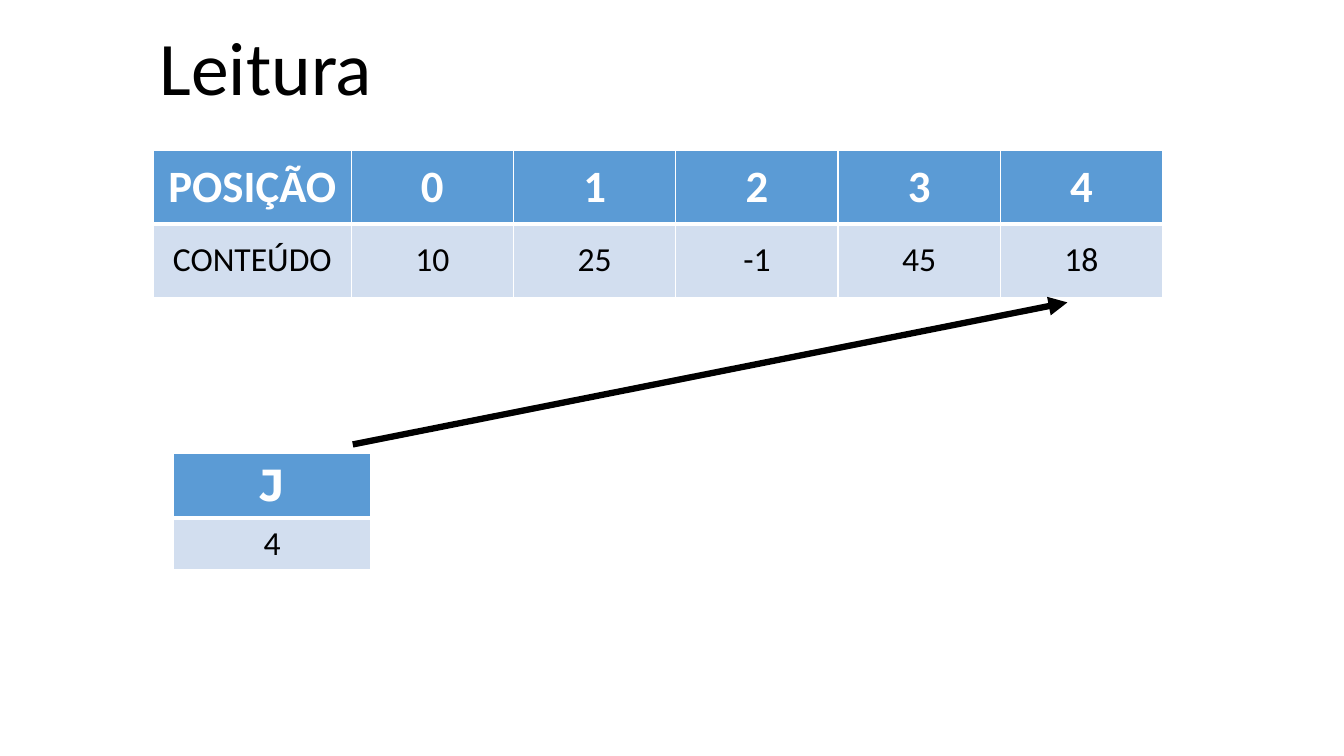
import pptx
import pptx.dml.color
import pptx.enum.shapes
import pptx.enum.text
import pptx.oxml
import pptx.oxml.ns
import pptx.util

Cm = pptx.util.Cm
Pt = pptx.util.Pt
ALIGN = pptx.enum.text.PP_ALIGN
ANCHOR = pptx.enum.text.MSO_ANCHOR
COLOURS = {"header": "5B9BD5", "body": "D2DEEF", "white": "FFFFFF", "black": "000000"}
NAMESPACE = pptx.oxml.ns.nsdecls("a")


def colour(name):
    return pptx.dml.color.RGBColor.from_string(COLOURS[name])


def write(frame, text, size, ink="black", font="Calibri", bold=False):
    para = frame.paragraphs[0]
    para.alignment = ALIGN.CENTER
    span = para.add_run()
    span.text = text
    span.font.name = font
    span.font.size = Pt(size)
    span.font.bold = bold
    span.font.color.rgb = colour(ink)


def add_borders(cell, top, bottom):
    properties = cell._tc.get_or_add_tcPr()
    for side, width in (("L", 1), ("R", 1), ("T", top), ("B", bottom)):
        properties.append(pptx.oxml.parse_xml(
            f'<a:ln{side} {NAMESPACE} w="{Pt(width)}"><a:solidFill>'
            f'<a:srgbClr val="{COLOURS["white"]}"/></a:solidFill></a:ln{side}>'))


def add_title(page, text, left, top, width, height):
    title = page.shapes.title
    title.left, title.top, title.width, title.height = left, top, width, height
    frame = title.text_frame
    frame.word_wrap = False
    frame.auto_size = pptx.enum.text.MSO_AUTO_SIZE.NONE
    frame.vertical_anchor = ANCHOR.TOP
    write(frame, text, 54)


def add_value_table(page, rows, left, top, widths, heights, anchor, header_font="Calibri"):
    """Place a table with one header row and one row of values."""
    table = page.shapes.add_table(
        len(rows), len(widths), left, top, sum(widths), sum(heights)).table
    for column, width in zip(table.columns, widths):
        column.width = width
    for index, (values, height) in enumerate(zip(rows, heights)):
        is_header = index == 0
        table.rows[index].height = height
        for cell, text in zip(table.rows[index].cells, values):
            add_borders(cell, top=1 if is_header else 3, bottom=3 if is_header else 1)
            cell.fill.solid()
            cell.fill.fore_color.rgb = colour("header" if is_header else "body")
            cell.vertical_anchor = anchor
            if is_header:
                write(cell.text_frame, text, 32, "white", header_font, bold=True)
            else:
                write(cell.text_frame, text, 24)


def add_arrow(page, start, end):
    arrow = page.shapes.add_connector(
        pptx.enum.shapes.MSO_CONNECTOR.STRAIGHT, *start, *end)
    arrow.line.color.rgb = colour("black")
    arrow.line.width = Pt(4.5)
    arrow.line._get_or_add_ln().append(
        pptx.oxml.parse_xml(f'<a:tailEnd {NAMESPACE} type="triangle"/>'))
    arrow._element.spPr.append(pptx.oxml.parse_xml(f"<a:effectLst {NAMESPACE}/>"))


def build_reading_page(deck):
    page = deck.slides.add_slide(deck.slide_layouts[5])
    label_width = Cm(4.98)
    add_value_table(
        page,
        [["POSIÇÃO", "0", "1", "2", "3", "4"], ["CONTEÚDO", "10", "25", "-1", "45", "18"]],
        Cm(3.87), Cm(3.79), [label_width] + [Cm(4.09)] * 5, [Cm(1.85)] * 2, ANCHOR.MIDDLE)
    add_title(page, "Leitura", Cm(3.73), Cm(0.38), Cm(5.94), Cm(2.57))
    add_value_table(
        page, [["J"], ["4"]], Cm(4.37), Cm(11.43), [label_width],
        [Cm(1.6), Cm(1.27)], ANCHOR.TOP, header_font="Montserrat")
    add_arrow(page, (Cm(8.89), Cm(11.2)), (Cm(26.9), Cm(7.62)))


def main():
    deck = pptx.Presentation()
    deck.slide_width, deck.slide_height = Cm(33.87), Cm(19.05)
    build_reading_page(deck)
    deck.save("out.pptx")


if __name__ == "__main__":
    main()
